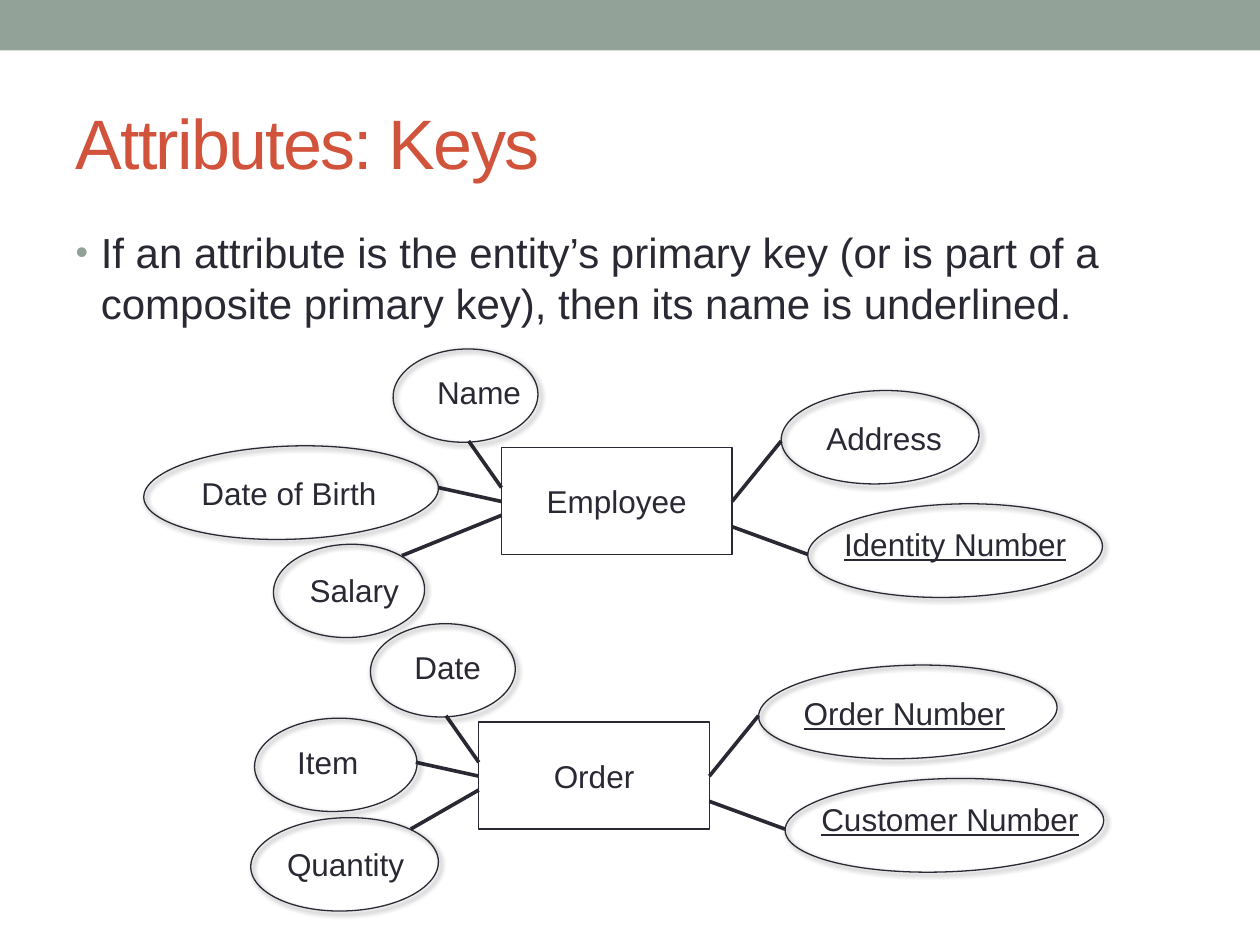
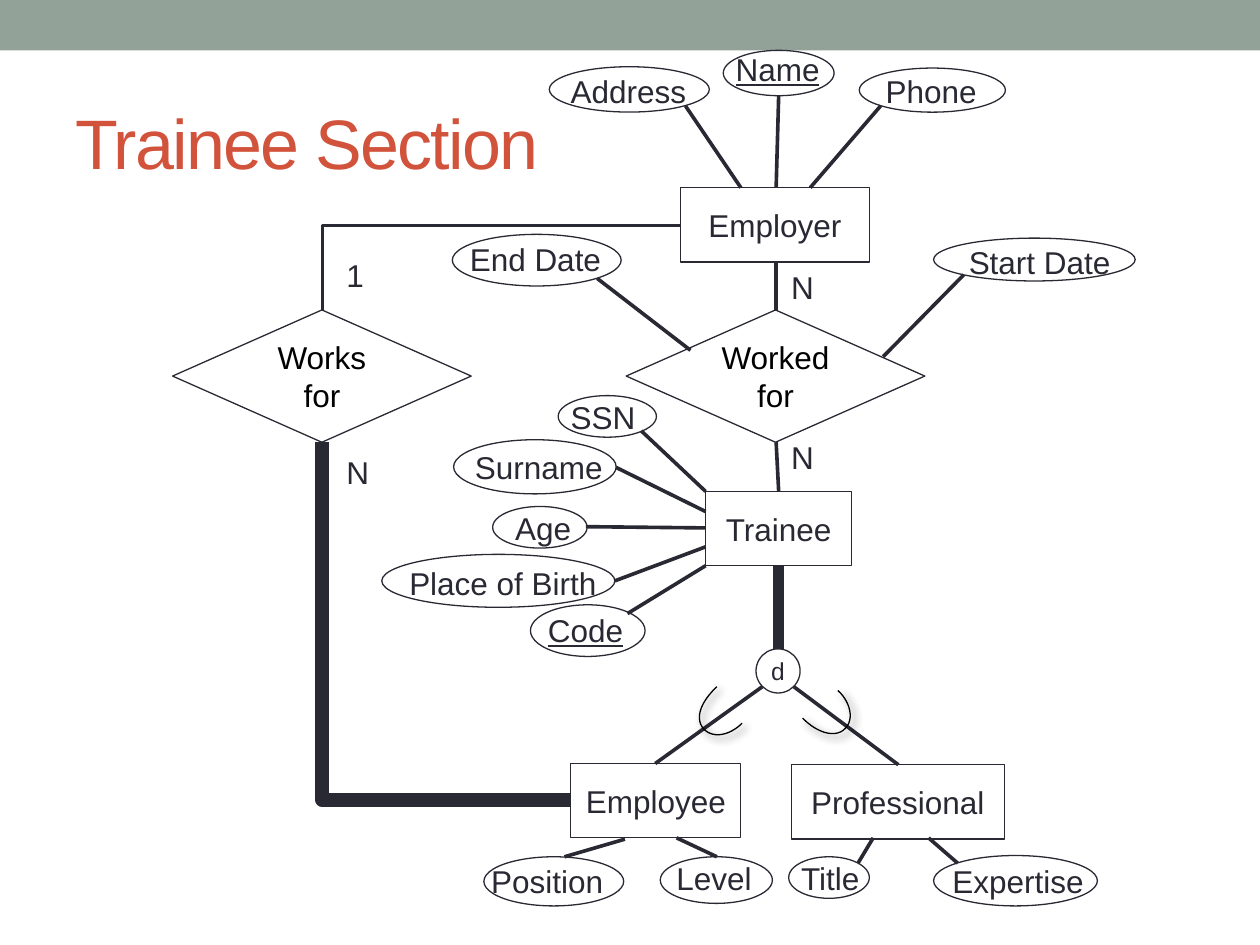
from lxml import etree
from pptx import Presentation
from pptx.dml.color import RGBColor
from pptx.enum.shapes import MSO_CONNECTOR, MSO_SHAPE
from pptx.enum.text import MSO_ANCHOR, MSO_AUTO_SIZE, PP_ALIGN
from pptx.oxml.ns import qn
from pptx.util import Inches, Pt

RECT, OVAL, DIAMOND = MSO_SHAPE.RECTANGLE, MSO_SHAPE.OVAL, MSO_SHAPE.DIAMOND
STRAIGHT, ELBOW = MSO_CONNECTOR.STRAIGHT, MSO_CONNECTOR.ELBOW
LEFT, CENTER, MIDDLE = PP_ALIGN.LEFT, PP_ALIGN.CENTER, MSO_ANCHOR.MIDDLE
TOP, NO_FIT, GROW = MSO_ANCHOR.TOP, MSO_AUTO_SIZE.NONE, MSO_AUTO_SIZE.SHAPE_TO_FIT_TEXT

COLORS = {"band": "93A299", "title": "D2533C", "ink": "292934", "black": "000000"}
FONT = "Arial"
THIN, SPOKE = 0.75, 2.08
LABEL_HEIGHT = 0.4
OVAL_SHADOW = {"alpha": 60, "blur": 3, "distance": 2}
ARC_SHADOW = {"alpha": 75, "blur": 5, "distance": 3}

# Slide 1: where each attribute sits, measured from its entity's top left corner
KEY_OVAL_HEIGHT = 0.74
KEY_OVAL_TILT = 178.1
KEY_SLOTS = {  # oval left, oval top, label left, label top, spoke
    "upper right": (2.22, -0.45, 2.48, -0.27, (1.83, 0.43, 2.22, -0.05)),
    "lower right": (2.43, 0.45, 2.62, 0.57, (1.83, 0.63, 2.43, 0.85)),
    "upper left": (-0.86, -0.78, -0.61, -0.64, (0, 0.32, -0.26, -0.05)),
    "left": (-2.84, -0.01, -2.48, 0.16, (0, 0.43, -0.5, 0.32)),
    "short left": (-1.78, -0.03, -1.54, 0.12, (0, 0.43, -0.5, 0.32)),
    "lower left": (-1.81, 0.77, -1.62, 0.93, (-0.79, 0.86, 0, 0.54)),
    "wide lower left": (-1.81, 0.76, -1.62, 0.93, (-0.54, 0.85, 0, 0.54)),
}
KEY_ENTITIES = [  # name, box, attributes: text, slot, oval width, label width, key
    ("Employee", (3.98, 3.55, 1.83, 0.85), [
        ("Name", "upper left", 1.15, 0.88, False),
        ("Date of Birth", "left", 2.34, 1.6, False),
        ("Salary", "lower left", 1.2, 0.92, False),
        ("Address", "upper right", 1.57, 1.13, False),
        ("Identity Number", "lower right", 2.34, 1.98, True)]),
    ("Order", (3.8, 5.73, 1.83, 0.85), [
        ("Date", "upper left", 1.15, 0.73, False),
        ("Item", "short left", 1.29, 0.69, False),
        ("Quantity", "wide lower left", 1.49, 1.14, False),
        ("Order Number", "upper right", 2.37, 1.81, True),
        ("Customer Number", "lower right", 2.53, 2.26, True)]),
]

# Slide 2: attributes are text, oval, label (left, top, width), spoke, key
TRAINEE_NODES = [
    ("Employer", RECT, (5.4, 1.49, 1.5, 0.59), [
        ("Address", (-1.04, -0.96, 1.27, 0.36), (-0.97, -0.97, 1.14), (0.04, -0.65, 0.48, 0), False),
        ("Name", (0.34, -1.09, 0.88, 0.36), (0.34, -1.14, 0.88), (0.78, -0.73, 0.76, 0), True),
        ("Phone", (1.42, -0.95, 1.16, 0.35), (1.53, -0.97, 0.93), (1.59, -0.65, 1.03, 0), False)]),
    ("Worked\nfor", DIAMOND, (4.97, 2.46, 2.37, 1.05), [
        ("End Date", (-1.38, -0.6, 1.34, 0.41), (-1.34, -0.6, 1.25), (-0.23, -0.25, 0.51, 0.32), False),
        ("Start Date", (2.44, -0.57, 1.6, 0.34), (2.62, -0.58, 1.39), (2.68, -0.28, 2.04, 0.37), False)]),
    ("Works\nfor", DIAMOND, (1.37, 2.46, 2.37, 1.05), []),
    ("Trainee", RECT, (5.6, 3.9, 1.16, 0.59), [
        ("SSN", (-1.17, -0.76, 0.78, 0.33), (-1.17, -0.79, 0.72), (-0.51, -0.48, 0, 0), False),
        ("Surname", (-2, -0.41, 1.29, 0.43), (-1.93, -0.39, 1.23), (-0.71, -0.19, 0, 0.16), False),
        ("Age", (-1.69, 0.12, 0.75, 0.33), (-1.61, 0.09, 0.67), (-0.95, 0.28, 0, 0.29), False),
        ("Place of Birth", (-2.57, 0.5, 1.85, 0.42), (-2.45, 0.53, 1.7), (-0.72, 0.71, 0, 0.44), False),
        ("Code", (-1.39, 0.9, 0.91, 0.41), (-1.35, 0.9, 0.81), (-0.62, 0.97, 0, 0.59), True)]),
    ("Employee", RECT, (4.53, 6.06, 1.35, 0.59), [
        ("Position", (-0.69, 0.74, 1.11, 0.39), (-0.73, 0.73, 1.1), (-0.05, 0.74, 0.43, 0.6), False),
        ("Level", (0.71, 0.74, 0.89, 0.37), (0.74, 0.71, 0.81), (1.16, 0.74, 0.84, 0.59), False)]),
    ("Professional", RECT, (6.28, 6.07, 1.69, 0.59), [
        ("Title", (-0.02, 0.73, 0.64, 0.33), (-0.02, 0.7, 0.67), (0.53, 0.78, 0.65, 0.58), False),
        ("Expertise", (1.13, 0.72, 1.3, 0.4), (1.18, 0.72, 1.25), (1.32, 0.78, 1.09, 0.58), False)]),
]
RELATION_LINES = [  # kind, start and end, width
    (STRAIGHT, (6.16, 2.08, 6.16, 2.46), SPOKE),
    (STRAIGHT, (6.16, 3.51, 6.18, 3.9), SPOKE),
    (ELBOW, (5.4, 1.79, 2.56, 2.46), SPOKE),
    (ELBOW, (4.53, 6.35, 2.56, 3.51), 8),
]
CARDINALITIES = [("N", (6.18, 2.08, 0.38)), ("N", (6.18, 3.43, 0.38)),
                 ("1", (2.65, 1.98, 0.34)), ("N", (2.65, 3.55, 0.38))]
SUBTYPE_BOX = (5.2, 5.15)
SUBTYPE_ARCS = [  # two joined Bezier curves each
    [(0.69, 0.59), (0.59, 0.69), (0.46, 0.71), (0.39, 0.64), (0.32, 0.57), (0.34, 0.44), (0.49, 0.3)],
    [(1.45, 0.33), (1.55, 0.42), (1.58, 0.56), (1.51, 0.63), (1.45, 0.7), (1.31, 0.69), (1.17, 0.55)],
]


def rgb(color):
    return RGBColor.from_string(COLORS[color])


def shift(box, origin):
    """Move a box or a point by the origin, keeping any size."""
    return (box[0] + origin[0], box[1] + origin[1], *box[2:])


def write(frame, text, size=18, color="ink", align=LEFT, **font_values):
    frame.text = text
    for para in frame.paragraphs:
        para.alignment = align
        for span in para.runs:
            values = {"name": FONT, "size": Pt(size), **font_values}
            for key, value in values.items():
                setattr(span.font, key, value)
            span.font.color.rgb = rgb(color)


def add_shadow(shape, alpha, blur, distance):
    effects = shape._element.spPr.find(qn("a:effectLst"))
    shadow = etree.SubElement(effects, qn("a:outerShdw"), {
        "blurRad": str(Pt(blur)), "dist": str(Pt(distance)),
        "dir": "2700000", "rotWithShape": "0"})
    tone = etree.SubElement(shadow, qn("a:srgbClr"), val=COLORS["black"])
    etree.SubElement(tone, qn("a:alpha"), val=str(alpha * 1000))


def outline(shape, color="ink"):
    shape.shadow.inherit = False
    shape.fill.background()
    shape.line.color.rgb = rgb(color)
    shape.line.width = Pt(THIN)


def add_figure(page, kind, box, text="", size=18, color="ink"):
    shape = page.shapes.add_shape(kind, *map(Inches, box))
    outline(shape)
    if text:
        frame = shape.text_frame
        margins = dict.fromkeys(("margin_left", "margin_top", "margin_right", "margin_bottom"), 0)
        for key, value in {**margins, "vertical_anchor": MIDDLE, "word_wrap": True}.items():
            setattr(frame, key, value)
        write(frame, text, size, color, CENTER)
    return shape


def add_label(page, text, spot, underline=False):
    label = page.shapes.add_textbox(*map(Inches, (*spot, LABEL_HEIGHT)))
    label.text_frame.word_wrap = False
    label.text_frame.auto_size = GROW
    write(label.text_frame, text, underline=underline or None)


def add_line(page, ends, width=SPOKE, kind=STRAIGHT):
    line = page.shapes.add_connector(kind, *map(Inches, ends))
    line.line.color.rgb = rgb("ink")
    line.line.width = Pt(width)
    properties = line._element.spPr
    if kind == ELBOW:  # one corner only
        properties.find(qn("a:prstGeom")).set("prst", "bentConnector2")
    etree.SubElement(properties, qn("a:effectLst"))


def add_node(page, name, kind, box, attributes, tilt=0, shadow=None):
    """An entity or relation with the attributes around it."""
    add_figure(page, kind, box, name, color="black" if kind == DIAMOND else "ink")
    for text, oval_box, label_spot, spoke, is_key in attributes:
        add_label(page, text, shift(label_spot, box), is_key)
        add_line(page, shift(spoke[:2], box) + shift(spoke[2:], box))
        oval = add_figure(page, OVAL, shift(oval_box, box))
        oval.rotation = tilt
        if shadow:
            add_shadow(oval, **shadow)


def place(shape, box):
    for key, value in zip(("left", "top", "width", "height"), box):
        setattr(shape, key, Inches(value))


def start_page(deck, layout, title, title_width):
    """A slide with the top band and the title."""
    page = deck.slides.add_slide(deck.slide_layouts[layout])
    band = page.shapes.add_shape(RECT, 0, 0, deck.slide_width, Inches(0.4))
    band.shadow.inherit = False
    band.fill.solid()
    band.fill.fore_color.rgb = rgb("band")
    band.line.fill.background()
    heading = page.shapes.title
    place(heading, (0.5, 0.58, title_width, 1.08))
    frame = heading.text_frame
    frame.vertical_anchor, frame.auto_size = MIDDLE, NO_FIT
    write(frame, title, 40, "title")
    frame.paragraphs[0].runs[0]._r.get_or_add_rPr().set("spc", "-100")
    return page


def add_bullet(body, text):
    place(body, (0.5, 1.75, 9, 5.33))
    frame = body.text_frame
    frame.vertical_anchor, frame.auto_size = TOP, NO_FIT
    write(frame, text, 24)
    para = frame.paragraphs[0]
    para.space_before = Pt(4.8)
    settings = para._p.get_or_add_pPr()
    settings.set("marL", str(Inches(0.2)))
    settings.set("indent", str(-Inches(0.2)))
    tint = etree.SubElement(settings, qn("a:buClr"))
    etree.SubElement(tint, qn("a:srgbClr"), val=COLORS["band"])
    etree.SubElement(settings, qn("a:buSzPct"), val="85000")
    etree.SubElement(settings, qn("a:buFont"), typeface=FONT)
    etree.SubElement(settings, qn("a:buChar"), char="•")


def bezier(points, steps=12):
    """Points along one cubic curve, without its start."""
    weights = [((1 - t) ** 3, 3 * t * (1 - t) ** 2, 3 * t * t * (1 - t), t ** 3)
               for t in (step / steps for step in range(1, steps + 1))]
    return [tuple(sum(w * point[axis] for w, point in zip(row, points)) for axis in (0, 1))
            for row in weights]


def add_arc(page, controls, origin):
    # The builder rounds to whole units, so the points are given in EMU
    points = [tuple(map(Inches, shift(point, origin))) for point in controls]
    builder = page.shapes.build_freeform(*points[0])
    builder.add_line_segments(bezier(points[:4]) + bezier(points[3:]), close=False)
    arc = builder.convert_to_shape()
    outline(arc, "black")
    add_shadow(arc, **ARC_SHADOW)


def add_subtypes(page, origin):
    """The disjoint circle with its branches to the two subtypes."""
    branches = [((0.98, -0.66, 0.98, 0), 6), ((0, 0.91, 0.85, 0.3), SPOKE),
                ((1.1, 0.3, 1.93, 0.92), SPOKE)]
    for ends, width in branches:
        add_line(page, shift(ends[:2], origin) + shift(ends[2:], origin), width)
    for controls in SUBTYPE_ARCS:
        add_arc(page, controls, origin)
    add_figure(page, OVAL, shift((0.8, 0, 0.35, 0.35), origin), "d", 14)


def build_keys(deck):
    page = start_page(deck, 1, "Attributes: Keys", 9)
    add_bullet(page.placeholders[1], "If an attribute is the entity’s primary key (or is part of a "
               "composite primary key), then its name is underlined.")
    for name, box, entries in KEY_ENTITIES:
        attributes = []
        for text, slot, oval_width, label_width, is_key in entries:
            left, top, label_left, label_top, spoke = KEY_SLOTS[slot]
            attributes.append((text, (left, top, oval_width, KEY_OVAL_HEIGHT),
                               (label_left, label_top, label_width), spoke, is_key))
        add_node(page, name, RECT, box, attributes, KEY_OVAL_TILT, OVAL_SHADOW)


def build_trainees(deck):
    page = start_page(deck, 5, "Trainee Section", 3.93)
    for node in TRAINEE_NODES:
        add_node(page, *node)
    for kind, ends, width in RELATION_LINES:
        add_line(page, ends, width, kind)
    for text, spot in CARDINALITIES:
        add_label(page, text, spot)
    add_subtypes(page, SUBTYPE_BOX)


def main():
    deck = Presentation()
    deck.slide_width, deck.slide_height = Inches(10), Inches(7.5)
    build_keys(deck)
    build_trainees(deck)
    deck.save("out.pptx")


if __name__ == "__main__":
    main()
